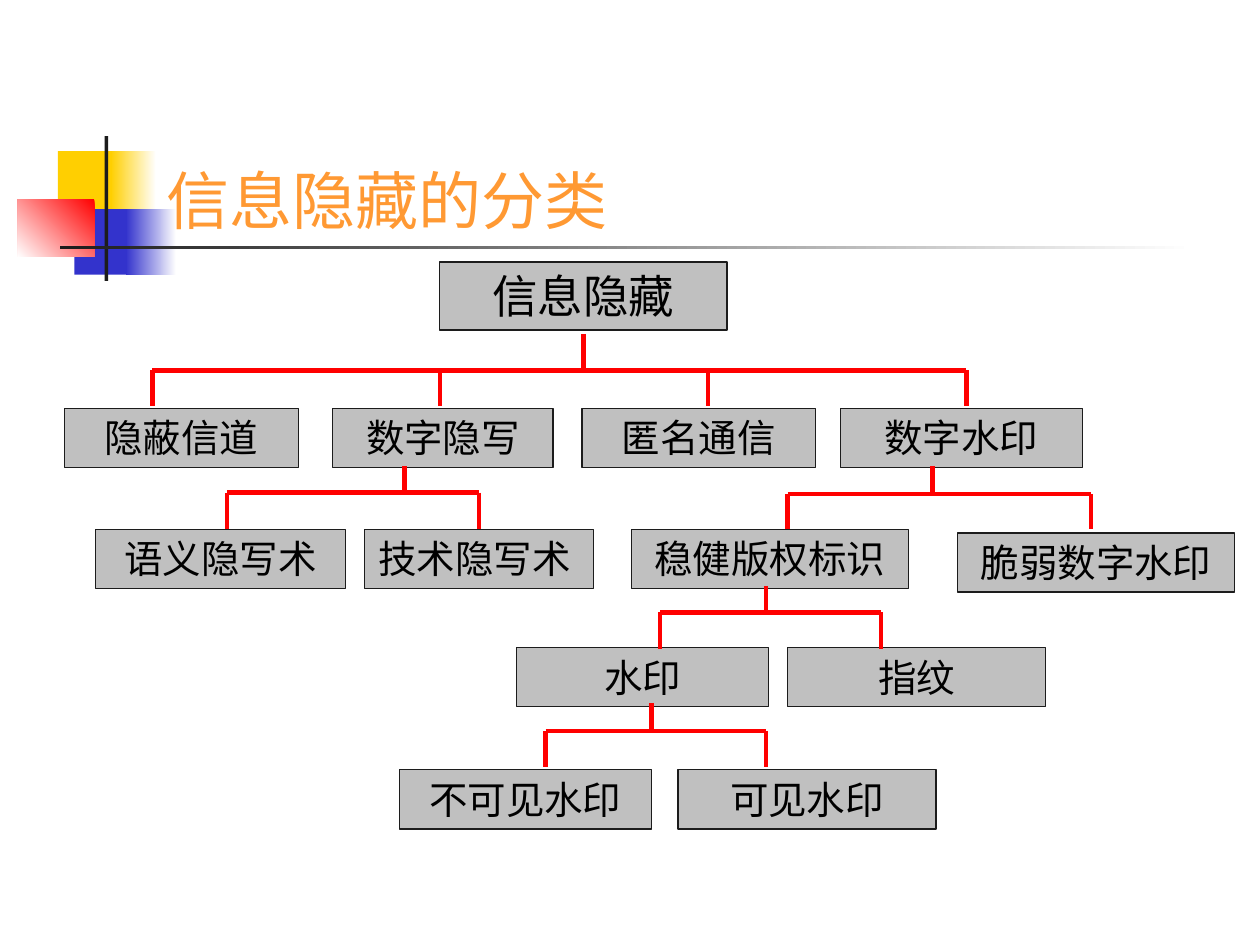
from dataclasses import dataclass

import pptx
import pptx.dml.color
import pptx.enum.shapes
import pptx.enum.text
import pptx.oxml.ns
import pptx.util
from lxml import etree
from pptx.util import Inches


@dataclass(frozen=True)
class Theme:
    font: str = "Noto Sans CJK SC"
    title: str = "FF9933"
    text: str = "000000"
    box: str = "C0C0C0"
    dark: str = "1C1C1C"
    branch: str = "FF0000"
    yellow: str = "FFCF01"
    blue: str = "3333CC"
    red: str = "FF0000"
    white: str = "FFFFFF"
    title_size: int = 36
    root_size: int = 26
    node_size: int = 22
    border_width: float = 0.75
    branch_width: float = 2.5


THEME = Theme()
BOX_HEIGHT = 0.47

# text, left, top, width
NODES = [
    ("脆弱数字水印", 7.6, 4.23, 2.2),
    ("隐蔽信道", 0.51, 3.24, 1.86),
    ("数字隐写", 2.64, 3.24, 1.75),
    ("匿名通信", 4.62, 3.24, 1.85),
    ("数字水印", 6.67, 3.24, 1.92),
    ("语义隐写术", 0.76, 4.2, 1.98),
    ("技术隐写术 ", 2.89, 4.2, 1.82),
    ("稳健版权标识", 5.01, 4.2, 2.2),
    ("水印", 4.1, 5.14, 2),
    ("指纹", 6.25, 5.14, 2.05),
    ("不可见水印", 3.17, 6.11, 2),
    ("可见水印", 5.38, 6.11, 2.05),
]

# parent x, top, bar y, bottom, child xs
BRANCHES = [
    (5.17, 5.58, 5.8, 6.09, (4.33, 6.08)),
    (6.08, 4.65, 4.86, 5.15, (5.24, 6.99)),
    (7.4, 3.7, 3.92, 4.2, (6.25, 8.66)),
    (3.21, 3.7, 3.91, 4.2, (1.8, 3.8)),
    (4.63, 2.65, 2.94, 3.22, (1.21, 3.49, 5.62, 7.67)),
]


def rgb(value):
    return pptx.dml.color.RGBColor.from_string(value)


def write_text(frame, text, *, size, color, align=None, anchor="TOP"):
    frame.word_wrap = True
    frame.vertical_anchor = pptx.enum.text.MSO_ANCHOR[anchor]
    paragraph = frame.paragraphs[0]
    if align:
        paragraph.alignment = pptx.enum.text.PP_ALIGN[align]
    run = paragraph.add_run()
    run.text = text
    run.font.size = pptx.util.Pt(size)
    run.font.name = THEME.font
    run.font.color.rgb = rgb(color)
    properties = run.font._element
    east_asian = etree.SubElement(properties, pptx.oxml.ns.qn("a:ea"))
    east_asian.set("typeface", THEME.font)


def add_rectangle(slide, left, top, width, height, color, fade=None):
    """Draw a borderless rectangle; fade is (first colour, last colour, angle)."""
    rectangle = slide.shapes.add_shape(
        pptx.enum.shapes.MSO_SHAPE.RECTANGLE,
        Inches(left), Inches(top), Inches(width), Inches(height))
    rectangle.shadow.inherit = False
    rectangle.line.fill.background()
    if fade:
        *colors, angle = fade
        rectangle.fill.gradient()
        rectangle.fill.gradient_angle = angle
        for stop, stop_color in zip(rectangle.fill.gradient_stops, colors):
            stop.color.rgb = rgb(stop_color)
    else:
        rectangle.fill.solid()
        rectangle.fill.fore_color.rgb = rgb(color)
    return rectangle


def add_node(slide, text, left, top, width, height=BOX_HEIGHT, size=THEME.node_size):
    node = add_rectangle(slide, left, top, width, height, THEME.box)
    node.line.color.rgb = rgb(THEME.dark)
    node.line.width = pptx.util.Pt(THEME.border_width)
    write_text(node.text_frame, text, size=size, color=THEME.text, align="CENTER")
    node.text_frame.auto_size = pptx.enum.text.MSO_AUTO_SIZE.SHAPE_TO_FIT_TEXT


def add_line(slide, x1, y1, x2, y2):
    line = slide.shapes.add_connector(
        pptx.enum.shapes.MSO_CONNECTOR.STRAIGHT,
        Inches(x1), Inches(y1), Inches(x2), Inches(y2))
    line.line.color.rgb = rgb(THEME.branch)
    line.line.width = pptx.util.Pt(THEME.branch_width)
    etree.SubElement(line._element.spPr, pptx.oxml.ns.qn("a:effectLst"))


def add_branch(slide, parent_x, top, bar_y, bottom, child_xs):
    add_line(slide, parent_x, top, parent_x, bar_y)
    add_line(slide, child_xs[0], bar_y, child_xs[-1], bar_y)
    for child_x in child_xs:
        add_line(slide, child_x, bar_y, child_x, bottom)


def add_ornament(slide):
    def fade_right(color):
        return THEME.white, color, 180

    add_rectangle(slide, 0.46, 1.2, 0.48, 0.52, THEME.yellow)
    add_rectangle(slide, 0.88, 1.2, 0.36, 0.52, None, fade_right(THEME.yellow))
    add_rectangle(slide, 0.59, 1.66, 0.46, 0.52, THEME.blue)
    add_rectangle(slide, 1, 1.66, 0.4, 0.52, None, fade_right(THEME.blue))
    add_rectangle(slide, 0.14, 1.58, 0.61, 0.46, None, (THEME.red, THEME.white, 225))
    add_rectangle(slide, 0.83, 1.08, 0.03, 1.15, THEME.dark)
    add_rectangle(slide, 0.48, 1.95, 9, 0.03, None, fade_right(THEME.dark))


def add_title(slide, text):
    title = slide.shapes.add_textbox(Inches(1.22), Inches(1.15), Inches(8.2), Inches(0.78))
    write_text(title.text_frame, text, size=THEME.title_size, color=THEME.title,
               anchor="BOTTOM")


def main():
    presentation = pptx.Presentation()
    presentation.slide_width = Inches(10)
    presentation.slide_height = Inches(7.5)
    slide = presentation.slides.add_slide(presentation.slide_layouts[6])

    add_ornament(slide)
    add_title(slide, "信息隐藏的分类")
    add_node(slide, "信息隐藏", 3.49, 2.08, 2.28, height=0.54, size=THEME.root_size)
    for node in NODES:
        add_node(slide, *node)
    for branch in BRANCHES:
        add_branch(slide, *branch)

    presentation.save("out.pptx")


if __name__ == "__main__":
    main()
